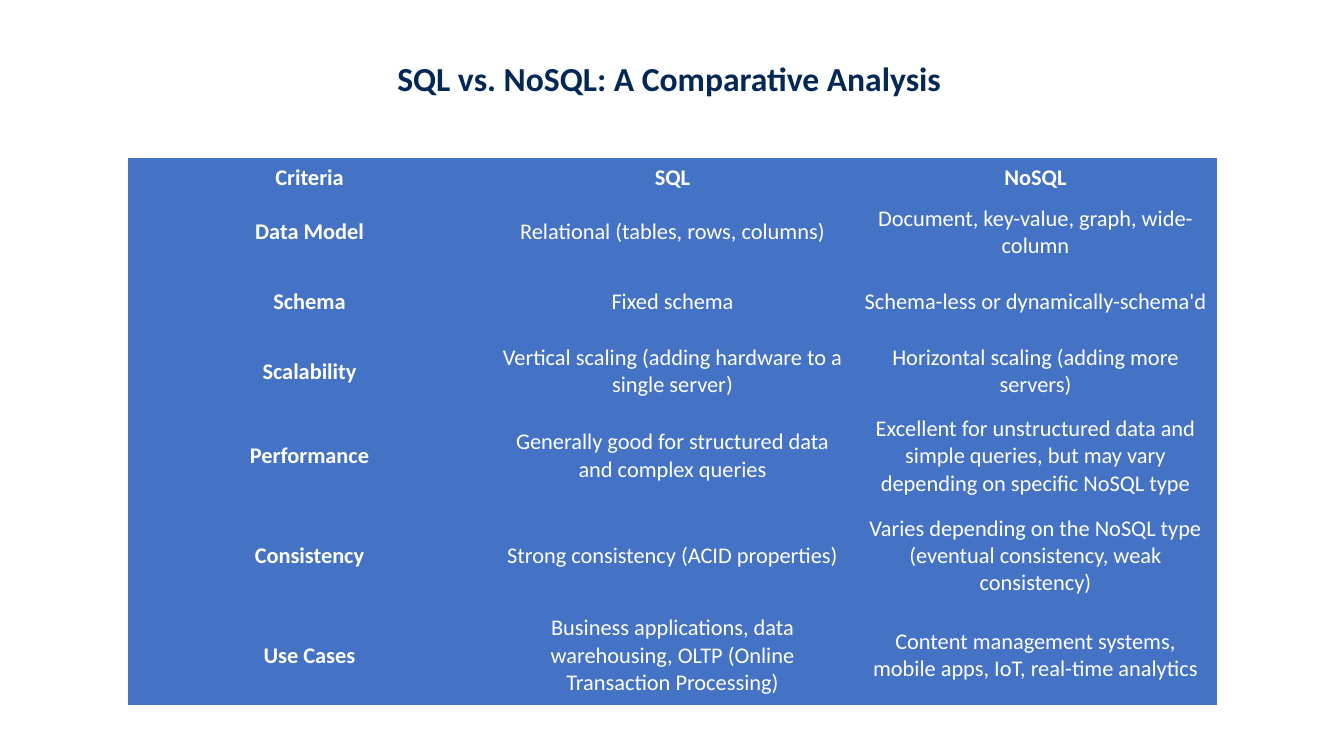
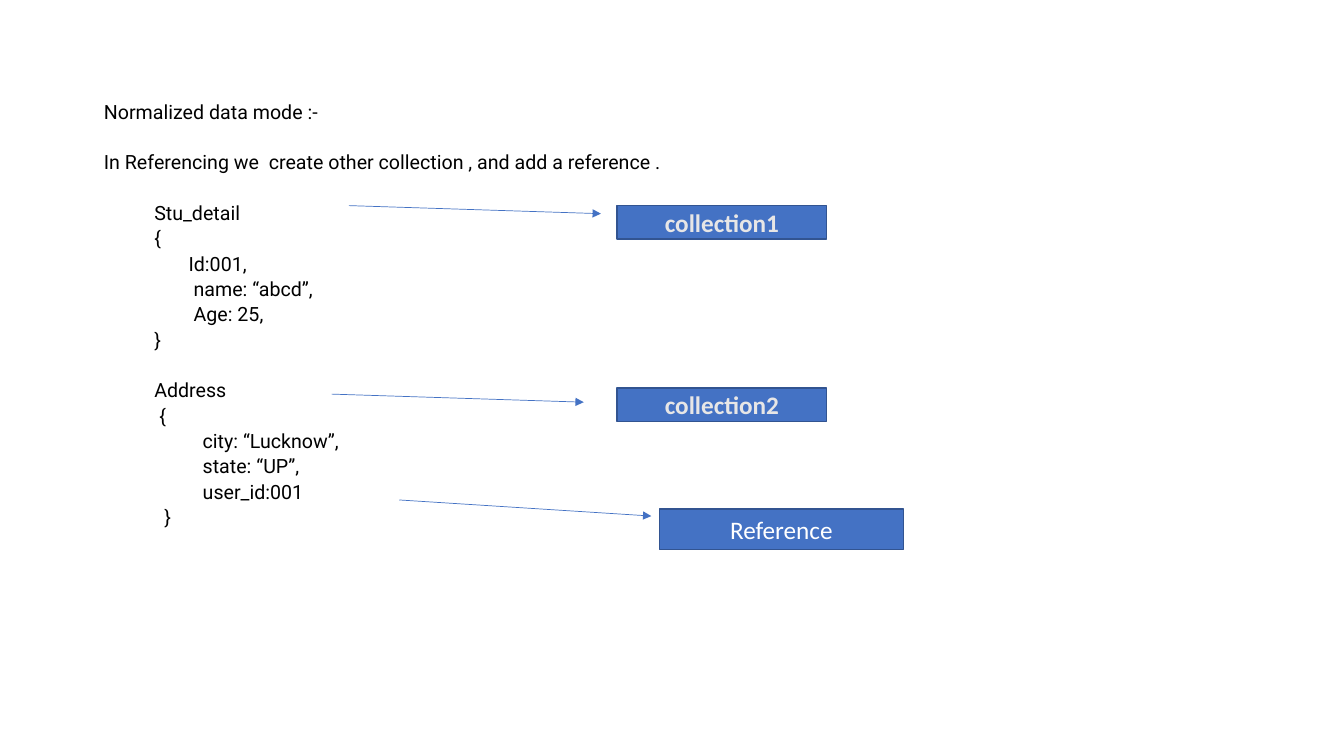
import lxml.etree
import pptx
import pptx.dml.color
import pptx.enum.shapes
import pptx.enum.text
import pptx.oxml.ns
import pptx.util

Inches = pptx.util.Inches
Pt = pptx.util.Pt
ALIGN = pptx.enum.text.PP_ALIGN
ANCHOR = pptx.enum.text.MSO_ANCHOR

BLUE, EDGE, NAVY = "4472C4", "325491", "032855"
WHITE, PALE, BLACK = "FFFFFF", "E7E6E6", "000000"

COMPARISON = [
    ("Criteria", "SQL", "NoSQL"),
    ("Data Model", "Relational (tables, rows, columns)",
     "Document, key-value, graph, wide-column"),
    ("Schema", "Fixed schema", "Schema-less or dynamically-schema'd"),
    ("Scalability", "Vertical scaling (adding hardware to a single server)",
     "Horizontal scaling (adding more servers)"),
    ("Performance", "Generally good for structured data and complex queries",
     "Excellent for unstructured data and simple queries, but may vary "
     "depending on specific NoSQL type"),
    ("Consistency", "Strong consistency (ACID properties)",
     "Varies depending on the NoSQL type (eventual consistency, weak consistency)"),
    ("Use Cases",
     "Business applications, data warehousing, OLTP (Online Transaction Processing)",
     "Content management systems, mobile apps, IoT, real-time analytics"),
]

# Text, left indent in inches, whether a gap comes before the line
DOCUMENT_LINES = [
    ("Normalized data mode :-", 0.01, False),
    ("In Referencing we  create other collection , and add a reference .", 0.01, True),
    ("Stu_detail", 0.51, True),
    ("{", 0.51, False),
    ("Id:001,", 0.85, False),
    ("name: “abcd”,", 0.9, False),
    ("Age: 25,", 0.9, False),
    ("}", 0.51, False),
    ("Address", 0.51, True),
    ("{", 0.56, False),
    ("city: “Lucknow”,", 0.99, False),
    ("state: “UP”,", 0.99, False),
    ("user_id:001", 0.99, False),
    ("}", 0.61, False),
]


def color(value):
    return pptx.dml.color.RGBColor.from_string(value)


def add_node(parent, tag, **attributes):
    return lxml.etree.SubElement(parent, pptx.oxml.ns.qn(tag), attributes)


class Builder:
    """Holds the deck, its style and the current slide."""

    font = "Calibri"
    code_font = "Roboto"

    def __init__(self):
        self.deck = pptx.Presentation()
        self.deck.slide_width = Inches(13.33)
        self.deck.slide_height = Inches(7.5)
        self.page = None

    def add_page(self, layout):
        self.page = self.deck.slides.add_slide(self.deck.slide_layouts[layout])
        self.page.background.fill.solid()
        self.page.background.fill.fore_color.rgb = color(WHITE)

    def style(self, para, size, tint, bold=False, align=ALIGN.LEFT, font=None):
        para.alignment = align
        for span in para.runs:
            span.font.name = font or self.font
            span.font.size = Pt(size)
            span.font.bold = bold
            span.font.color.rgb = color(tint)

    def place(self, holder, left, top, width, height):
        holder.left, holder.top = Inches(left), Inches(top)
        holder.width, holder.height = Inches(width), Inches(height)
        frame = holder.text_frame
        frame.word_wrap = True
        frame.auto_size = pptx.enum.text.MSO_AUTO_SIZE.NONE
        frame.vertical_anchor = ANCHOR.TOP
        return frame

    def title(self, text, *bounds):
        frame = self.place(self.page.shapes.title, *bounds)
        frame.text = text
        self.style(frame.paragraphs[0], 24, NAVY, bold=True)

    def remove_title(self):
        holder = self.page.shapes.title.element
        holder.getparent().remove(holder)

    def body(self, lines, *bounds):
        frame = self.place(self.page.placeholders[1], *bounds)
        frame.margin_left = frame.margin_right = frame.margin_bottom = 0
        frame.margin_top = Inches(0.03)
        line_height, space = 16, 2.1
        frame.text = "\n".join(text for text, _, _ in lines)
        for para, (_, indent, gap) in zip(frame.paragraphs, lines):
            self.style(para, 14, BLACK, font=self.code_font)
            para.line_spacing = Pt(line_height)
            para.space_before = Pt(2 * space + line_height if gap else space)
            properties = para._p.get_or_add_pPr()
            properties.set("marL", str(Inches(indent)))
            properties.set("indent", "0")
            add_node(properties, "a:buNone")

    def table(self, rows, heights, left, top, column_width):
        columns = len(rows[0])
        grid = self.page.shapes.add_table(
            len(rows), columns, Inches(left), Inches(top),
            Inches(column_width * columns), Inches(sum(heights))).table
        grid.horz_banding = False
        for column in grid.columns:
            column.width = Inches(column_width)
        for row, height in zip(grid.rows, heights):
            row.height = Inches(height)
        for r, row in enumerate(rows):
            for c, text in enumerate(row):
                self.cell(grid.cell(r, c), text, bold=r == 0 or c == 0)

    def cell(self, cell, text, bold):
        cell.text = text
        cell.vertical_anchor = ANCHOR.MIDDLE
        cell.margin_left = cell.margin_right = Inches(0.09)
        cell.margin_top = cell.margin_bottom = Inches(0.04)
        self.style(cell.text_frame.paragraphs[0], 16, WHITE, bold, ALIGN.CENTER)
        # Borders come before the fill in the cell properties
        properties = cell._tc.get_or_add_tcPr()
        for side in ("a:lnL", "a:lnR", "a:lnT", "a:lnB"):
            add_node(add_node(properties, side, w="0"), "a:noFill")
        cell.fill.solid()
        cell.fill.fore_color.rgb = color(BLUE)

    def label(self, text, left, top, width, height, tint, bold):
        box = self.page.shapes.add_shape(
            pptx.enum.shapes.MSO_SHAPE.RECTANGLE,
            Inches(left), Inches(top), Inches(width), Inches(height))
        box.shadow.inherit = False
        box.fill.solid()
        box.fill.fore_color.rgb = color(BLUE)
        box.line.color.rgb = color(EDGE)
        box.line.width = Pt(1)
        frame = box.text_frame
        frame.word_wrap = True
        frame.vertical_anchor = ANCHOR.MIDDLE
        frame.text = text
        self.style(frame.paragraphs[0], 18, tint, bold, ALIGN.CENTER)

    def arrow(self, left, top, width, drop):
        line = self.page.shapes.add_connector(
            pptx.enum.shapes.MSO_CONNECTOR.STRAIGHT, Inches(left), Inches(top),
            Inches(left + width), Inches(top + drop))
        line.line.color.rgb = color(BLUE)
        line.line.width = Pt(0.5)
        add_node(line.line._get_or_add_ln(), "a:tailEnd", type="triangle")
        add_node(line._element.spPr, "a:effectLst")


def main():
    builder = Builder()

    # Comparison table
    builder.add_page(5)
    builder.title("SQL vs. NoSQL: A Comparative Analysis", 3.84, 0.52, 5.64, 0.5)
    builder.table(COMPARISON, [0.39] + [0.69] * 3 + [0.99] * 3, 1.27, 1.57, 3.6)

    # Normalized documents with labelled parts
    builder.add_page(1)
    builder.remove_title()
    builder.body(DOCUMENT_LINES, 1.02, 0.97, 11.9, 4.8)
    for left, top, drop in ((3.46, 2.04, 0.08), (3.29, 3.91, 0.08), (3.96, 4.96, 0.16)):
        builder.arrow(left, top, 2.5, drop)
    for text, top in (("collection1", 2.04), ("collection2", 3.85)):
        builder.label(text, 6.12, top, 2.08, 0.33, PALE, bold=True)
    builder.label("Reference", 6.54, 5.05, 2.42, 0.4, WHITE, bold=False)

    builder.deck.save("out.pptx")


if __name__ == "__main__":
    main()
